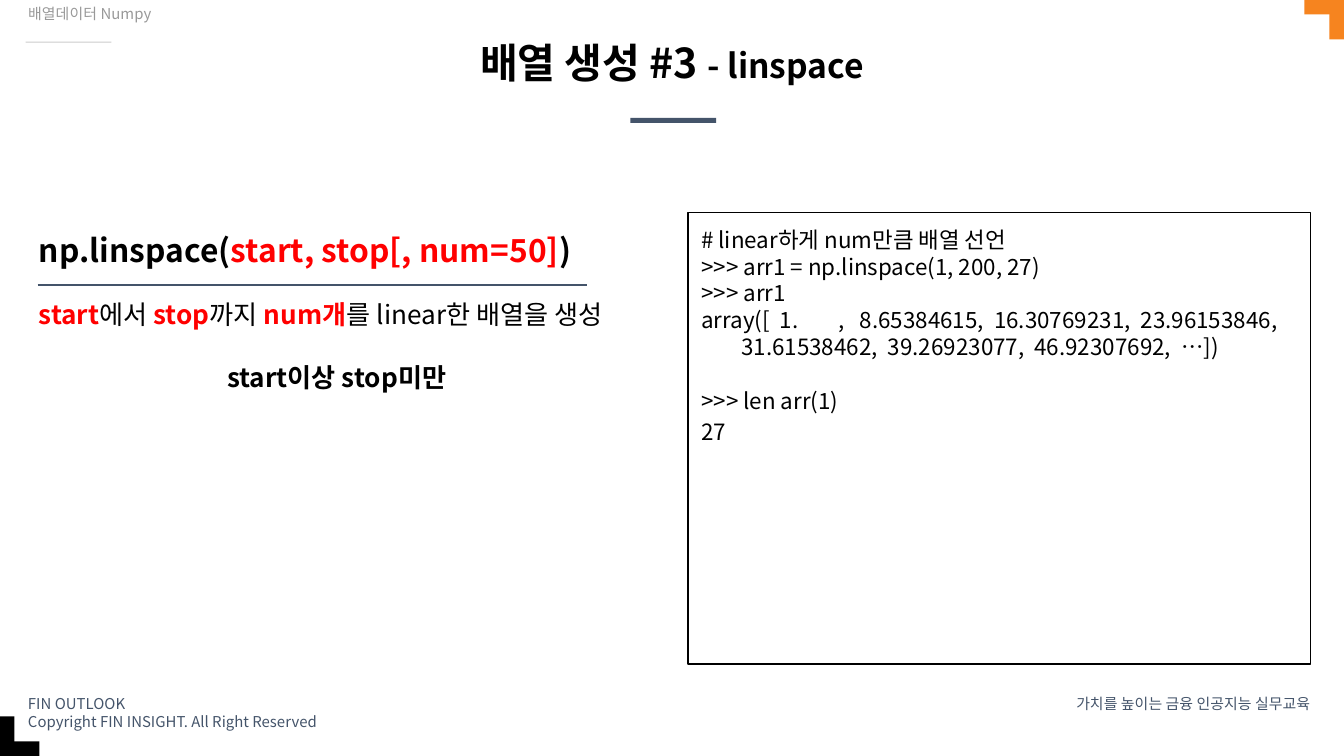
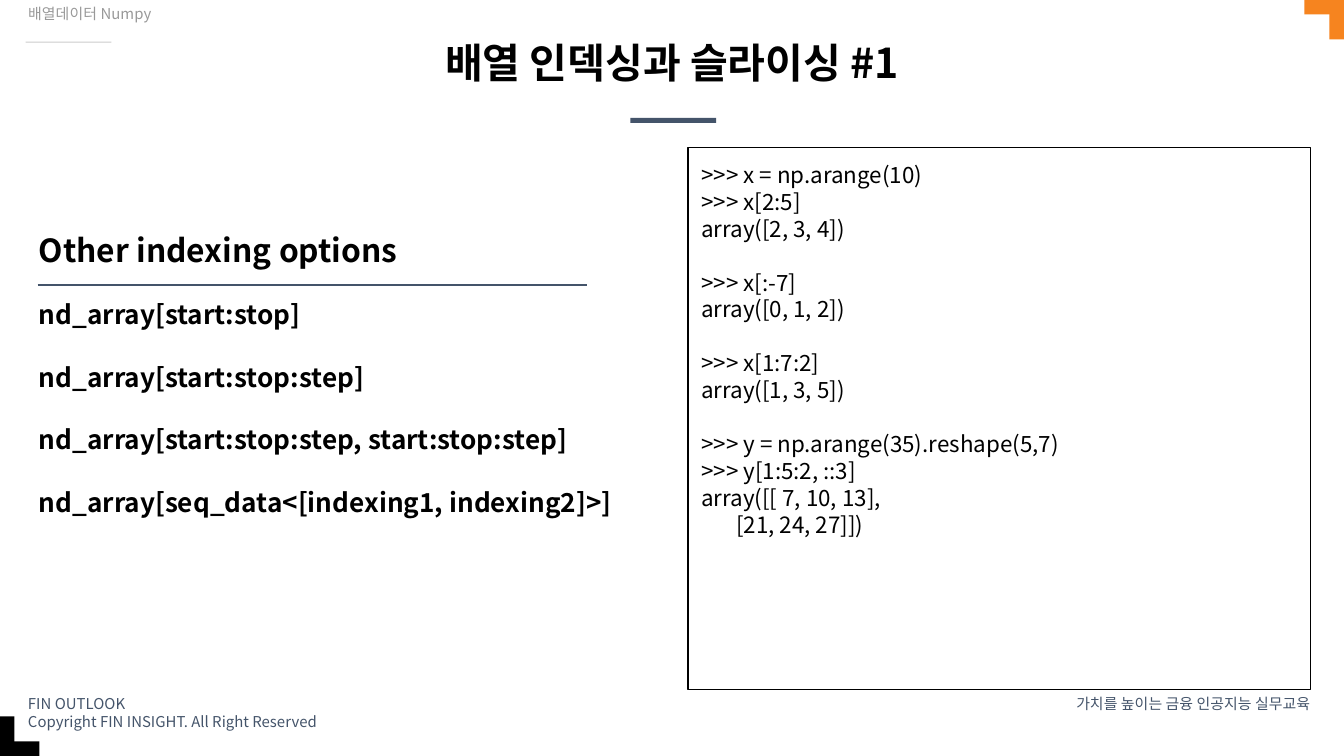
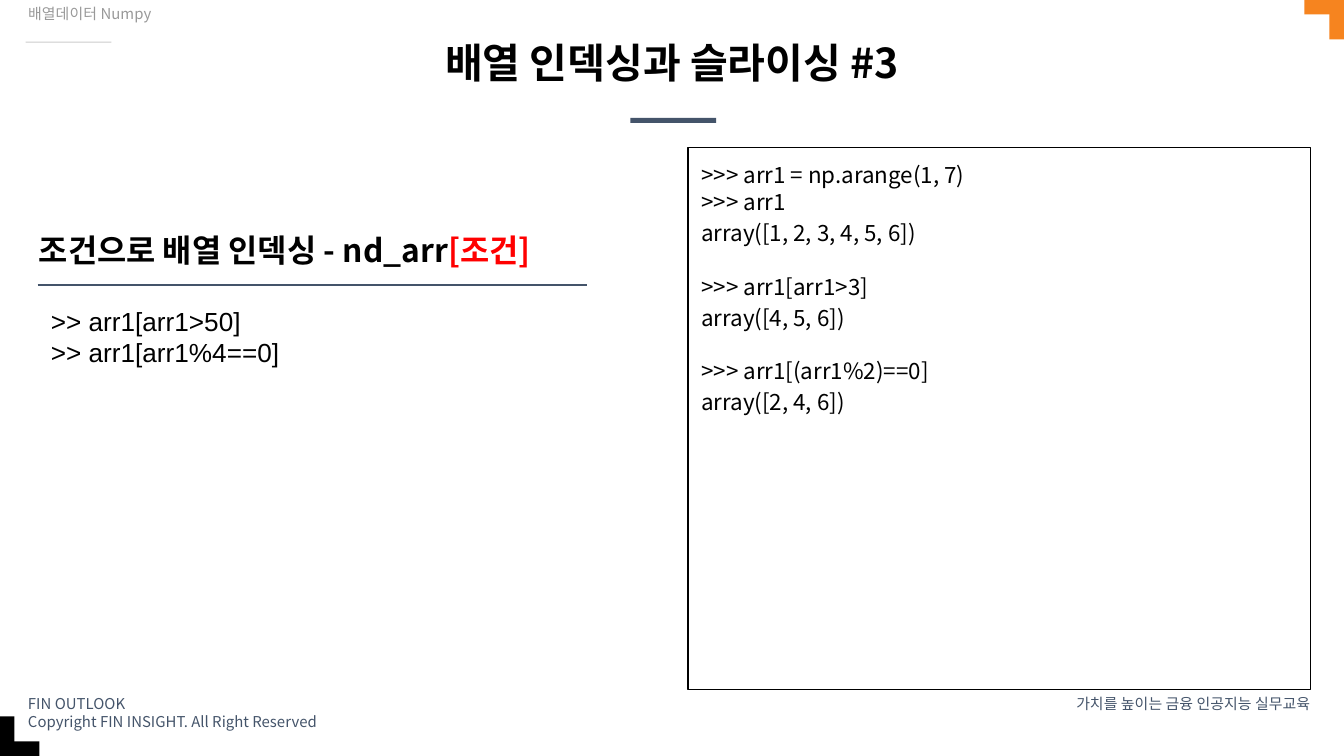
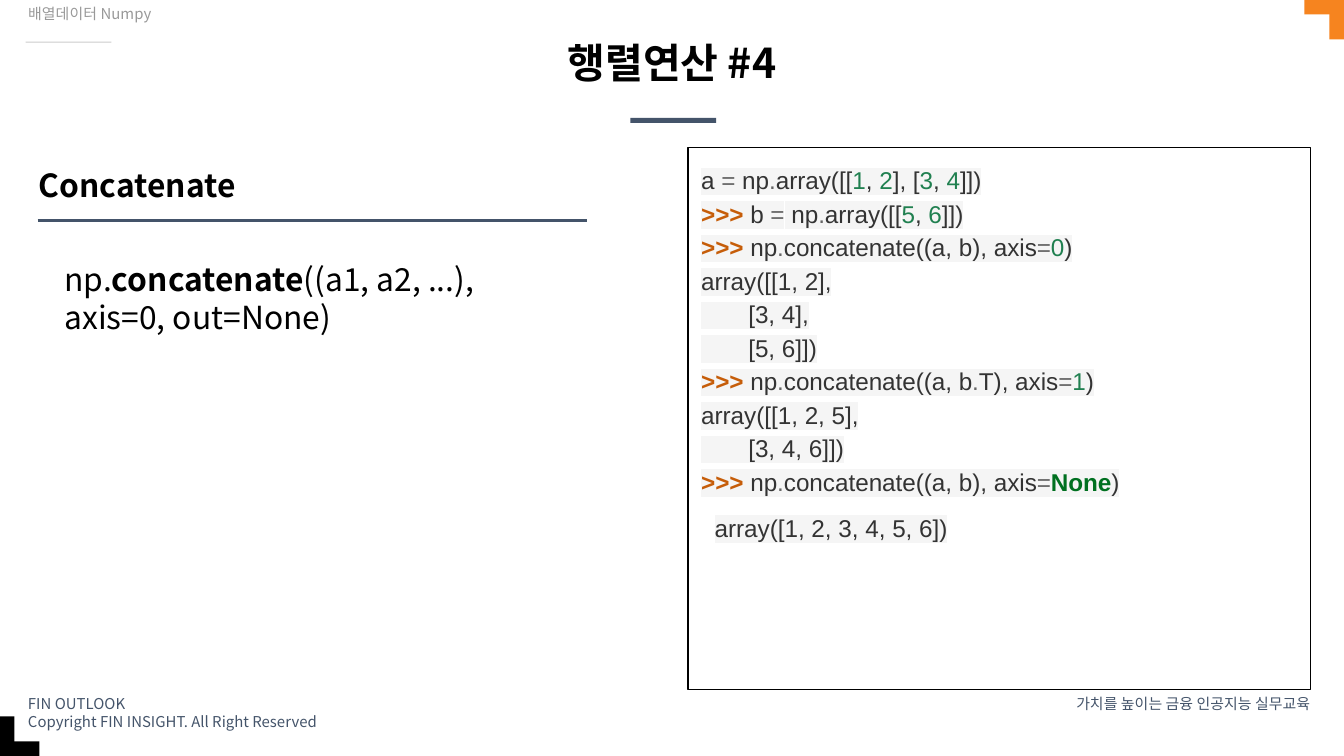
"""Build four lecture slides on NumPy arrays."""
from lxml import etree
from pptx import Presentation
from pptx.dml.color import RGBColor
from pptx.enum import shapes, text
from pptx.oxml.ns import qn
from pptx.util import Pt

SANS, ARIAL = "Noto Sans CJK KR", "Arial"
BLACK, NAVY, RED, ORANGE = "000000", "44546A", "FF0000", "F6841F"
GREY, SILVER = "999999", "CCCCCC"
INK, SIGN, NUM, PROMPT, WORD, SHADE = (
    "333333", "666666", "208050", "C65D09", "007020", "F5F5F5")
LEFT, CENTER, RIGHT = (text.PP_ALIGN.LEFT, text.PP_ALIGN.CENTER,
                       text.PP_ALIGN.RIGHT)
WIDE, HIGH = 720, 405
TOPIC = "배열데이터 Numpy"
FOOT = ["FIN OUTLOOK", "Copyright FIN INSIGHT. All Right Reserved"]
MOTTO = ["가치를 높이는 금융 인공지능 실무교육"]
TOKENS = {">>> ": (PROMPT, True), "=": (SIGN, False), ".": (SIGN, False),
          "None": (WORD, True)}


def red(word):
    """Return a bold red run."""
    return word, {"color": RED, "bold": True}


def paint(*tokens):
    """Return the tokens of a code line as coloured runs."""
    runs = []
    for token in tokens:
        hue, bold = TOKENS.get(token, (NUM if token.isdigit() else INK, False))
        runs.append((token, {"color": hue, "bold": bold}))
    return {"runs": runs, "ls": 1.15}


SLIDES = [
    {
        "title": ("배열 생성 #3 ", ("- linspace", {"size": 18})),
        "head": ("np.linspace(", red("start, stop[, num=50]"), ")"),
        "top": 113.8,
        "body": [
            (red("start"), "에서 ", red("stop"), "까지 ", red("num개"),
             "를 linear한 배열을 생성"),
            {"runs": [("start이상 stop미만", {"bold": True})],
             "gap": 1, "al": CENTER},
        ],
        "place": (13.7, 152.6, 333.4, 230),
        "frame": (113.8, 241.9),
        "code": [
            "# linear하게 num만큼 배열 선언",
            ">>> arr1 = np.linspace(1, 200, 27)",
            ">>> arr1",
            "array([  1.        ,   8.65384615,  16.30769231,  23.96153846,",
            "        31.61538462,  39.26923077,  46.92307692,  …])",
            {"runs": [">>> len arr(1)"], "gap": 1},
            {"runs": ["27"], "ls": 1.15},
        ],
    },
    {
        "title": "배열 인덱싱과 슬라이싱 #1",
        "head": "Other indexing options",
        "top": 113.8,
        "body": [
            "nd_array[start:stop]",
            {"runs": ["nd_array[start:stop:step]"], "gap": 1},
            {"runs": ["nd_array[start:stop:step, start:stop:step]"], "gap": 1},
            {"runs": ["nd_array[seq_data<[indexing1, indexing2]>]"], "gap": 1},
        ],
        "look": {"bold": True},
        "place": (13.7, 152.6, 333.4, 205),
        "frame": (79.2, 290.2),
        "code": [
            ">>> x = np.arange(10)",
            ">>> x[2:5]",
            "array([2, 3, 4])",
            {"runs": [">>> x[:-7]"], "gap": 1},
            "array([0, 1, 2])",
            {"runs": [">>> x[1:7:2]"], "gap": 1},
            "array([1, 3, 5])",
            {"runs": [">>> y = np.arange(35).reshape(5,7)"], "gap": 1},
            ">>> y[1:5:2, ::3]",
            "array([[ 7, 10, 13],",
            "       [21, 24, 27]])",
        ],
    },
    {
        "title": "배열 인덱싱과 슬라이싱 #3",
        "head": ("조건으로 배열 인덱싱 - nd_arr", red("[조건]")),
        "top": 113.8,
        "body": [">> arr1[arr1>50]", ">> arr1[arr1%4==0]"],
        "look": {"face": ARIAL},
        "place": (20.2, 156.2, 236, 236),
        "frame": (79.2, 290.2),
        "code": [
            ">>> arr1 = np.arange(1, 7)",
            ">>> arr1",
            {"runs": ["array([1, 2, 3, 4, 5, 6])"], "ls": 1.15},
            {"runs": [">>> arr1[arr1>3]"], "gap": 1},
            {"runs": ["array([4, 5, 6])"], "ls": 1.15},
            {"runs": [">>> arr1[(arr1%2)==0]"], "gap": 1},
            {"runs": ["array([2, 4, 6])"], "ls": 1.15},
        ],
    },
    {
        "title": "행렬연산 #4",
        "head": "Concatenate",
        "top": 79.2,
        "body": [("np.", ("concatenate", {"bold": True}),
                  "((a1, a2, ...), axis=0, out=None)")],
        "look": {"size": 17},
        "place": (27.4, 131.8, 290.9, 129.6),
        "frame": (79.2, 290.2),
        "code": [
            paint("a ", "=", " np", ".", "array([[", "1", ", ", "2", "], [",
                  "3", ", ", "4", "]])"),
            paint(">>> ", "b ", "=", " np", ".", "array([[", "5", ", ", "6",
                  "]])"),
            paint(">>> ", "np", ".", "concatenate((a, b), axis", "=", "0",
                  ")"),
            paint("array([[1, 2],"),
            paint("       [3, 4],"),
            paint("       [5, 6]])"),
            paint(">>> ", "np", ".", "concatenate((a, b", ".", "T), axis",
                  "=", "1", ")"),
            paint("array([[1, 2, 5],"),
            paint("       [3, 4, 6]])"),
            paint(">>> ", "np", ".", "concatenate((a, b), axis", "=", "None",
                  ")"),
            {**paint("array([1, 2, 3, 4, 5, 6])"), "ls": 1.58, "left": 7.2},
        ],
        "ink": {"size": 13, "face": ARIAL, "mark": SHADE},
    },
]


def rgb(code):
    """Turn a hex string into a colour."""
    return RGBColor.from_string(code)


def write(para, words, size=12, color=BLACK, bold=False, face=SANS, mark=None):
    """Add one run to a paragraph."""
    run = para.add_run()
    run.text = words
    font = run.font
    font.size, font.bold, font.name = Pt(size), bold, face
    font.color.rgb = rgb(color)
    props = run.font._element if hasattr(run.font, "_element") else run._r.rPr
    latin = props.find(qn("a:latin"))
    east = etree.Element(qn("a:ea"), typeface=face)
    latin.addnext(east)
    if mark:
        shade = etree.Element(qn("a:highlight"))
        etree.SubElement(shade, qn("a:srgbClr"), val=mark)
        props.find(qn("a:solidFill")).addnext(shade)


def fill(shape, paras, inset=(7.2, 7.2), al=LEFT, ls=None,
         anchor=text.MSO_ANCHOR.TOP, **look):
    """Write paragraphs into a shape."""
    frame = shape.text_frame
    frame.word_wrap, frame.auto_size = True, text.MSO_AUTO_SIZE.NONE
    frame.vertical_anchor = anchor
    frame.margin_left = frame.margin_right = Pt(inset[0])
    frame.margin_top = frame.margin_bottom = Pt(inset[1])
    for i, item in enumerate(paras):
        para = frame.add_paragraph() if i else frame.paragraphs[0]
        if not isinstance(item, dict):
            item = {"runs": [item] if isinstance(item, str) else item}
        para.alignment = item.get("al", al)
        para.line_spacing = item.get("ls", ls)
        para.space_before = Pt(item.get("gap", 0) * look.get("size", 12) * 1.2)
        if "left" in item:
            props = para._p.get_or_add_pPr()
            props.set("marL", str(Pt(item["left"])))
            props.set("indent", "0")
        for run in item["runs"]:
            words, extra = (run, {}) if isinstance(run, str) else run
            write(para, words, **{**look, **extra})


def move(shape, spot):
    """Set the place and size of a shape."""
    shape.left, shape.top, shape.width, shape.height = map(Pt, spot)


def block(slide, spot, color=None):
    """Add a plain rectangle, filled or outlined in black."""
    rect = slide.shapes.add_shape(shapes.MSO_SHAPE.RECTANGLE, *map(Pt, spot))
    rect.shadow.inherit = False
    if color:
        rect.fill.solid()
        rect.fill.fore_color.rgb = rgb(color)
        rect.line.fill.background()
    else:
        rect.fill.background()
        rect.line.color.rgb = rgb(BLACK)
        rect.line.width = Pt(0.75)
    return rect


def label(slide, spot, paras, **look):
    """Add a text box."""
    fill(slide.shapes.add_textbox(*map(Pt, spot)), paras, **look)


def rule(slide, y):
    """Draw the line below the heading."""
    line = slide.shapes.add_connector(shapes.MSO_CONNECTOR.STRAIGHT,
                                      Pt(20.2), Pt(y), Pt(314.6), Pt(y))
    line.line.color.rgb = rgb(NAVY)
    line.line.width = Pt(1.5)
    etree.SubElement(line._element.spPr, qn("a:effectLst"))


def base(slide):
    """Add the parts that all slides share."""
    arm, thick = 21.2, 7.8
    block(slide, (337.7, 63.2, 46, 2.7), NAVY)
    block(slide, (13.7, 22.3, 46, 0.6), SILVER)
    for w, h in ((arm, thick), (thick, arm)):
        block(slide, (0, HIGH - h, w, h), BLACK)
        block(slide, (WIDE - w, 0, w, h), ORANGE)
    small = {"inset": (7.2, 3.6), "size": 8, "color": NAVY}
    label(slide, (7.9, 368.6, 214.6, 19.4), FOOT, **small)
    label(slide, (558.7, 368.6, 150.5, 12.2), MOTTO, al=RIGHT, **small)


def build(deck, data):
    """Build one slide."""
    slide = deck.slides.add_slide(deck.slide_layouts[0])
    base(slide)
    title, topic = slide.shapes.title, slide.placeholders[1]
    move(title, (78.5, 21.6, 563, 28.8))
    fill(title, [data["title"]], (3, 1.5), CENTER, 0.9, size=22, bold=True)
    move(topic, (7.9, 0, 204.5, 28.8))
    fill(topic, [TOPIC], (7.2, 3.6), ls=0.9, size=8, color=GREY)
    top = data["top"]
    label(slide, (13.7, top, 346.3, 39.6), [data["head"]], size=17, bold=True,
          anchor=text.MSO_ANCHOR.MIDDLE)
    rule(slide, top + 38.9)
    label(slide, data["place"], data["body"],
          **{"size": 14, **data.get("look", {})})
    y, h = data["frame"]
    fill(block(slide, (368.6, y, 333.4, h)), data["code"],
         **data.get("ink", {}))


def main():
    """Build and save the deck."""
    deck = Presentation()
    deck.slide_width, deck.slide_height = Pt(WIDE), Pt(HIGH)
    for data in SLIDES:
        build(deck, data)
    deck.save("out.pptx")


if __name__ == "__main__":
    main()
